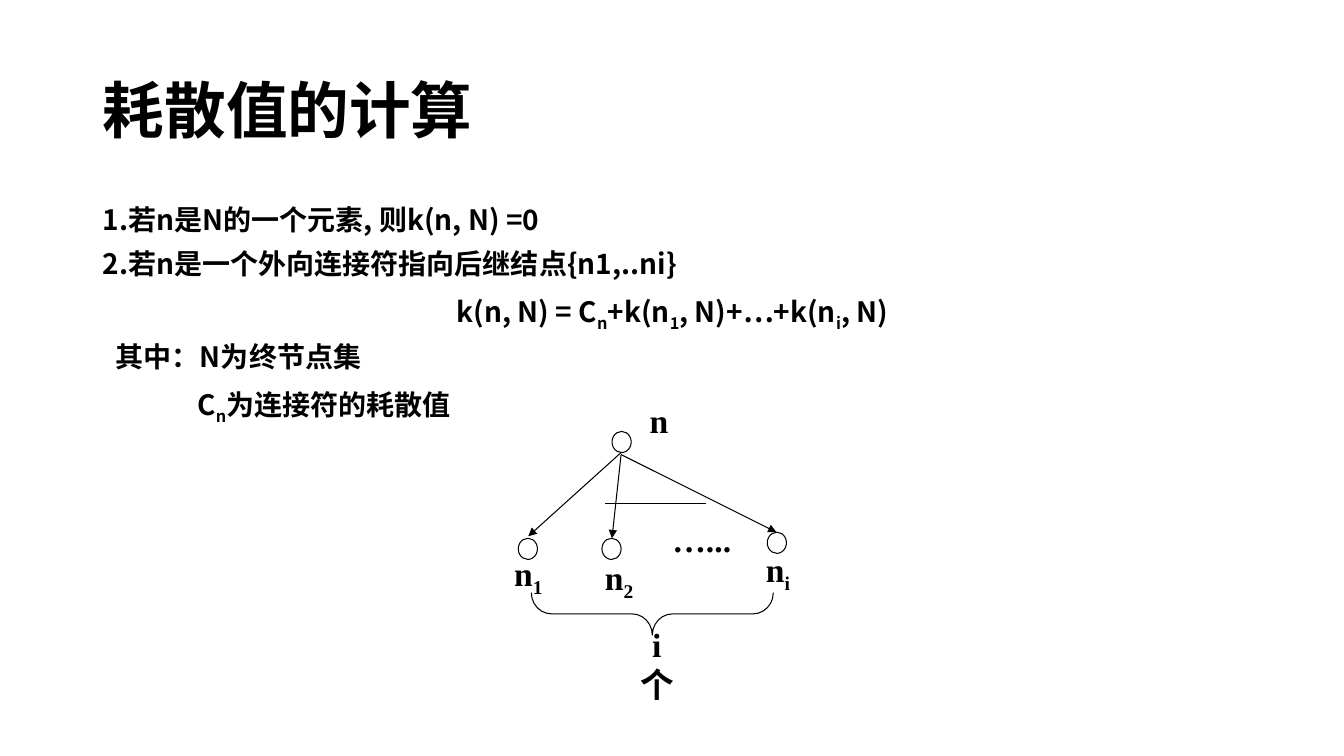
from lxml import etree
from pptx import Presentation
from pptx.dml.color import RGBColor
from pptx.enum.shapes import MSO_CONNECTOR, MSO_SHAPE
from pptx.enum.text import MSO_ANCHOR, MSO_AUTO_SIZE, PP_ALIGN
from pptx.oxml.ns import qn
from pptx.util import Inches, Pt

BLACK = RGBColor(0, 0, 0)
SANS = "Noto Sans CJK SC"
SERIF = "Times New Roman"
OVAL, BRACE = MSO_SHAPE.OVAL, MSO_SHAPE.LEFT_BRACE
STRAIGHT = MSO_CONNECTOR.STRAIGHT
MIDDLE = MSO_ANCHOR.MIDDLE
LEFT, CENTER = PP_ALIGN.LEFT, PP_ALIGN.CENTER
NO_FIT = MSO_AUTO_SIZE.NONE
LINE_WIDTH = Pt(0.75)


def add_runs(paragraph, text, size, font):
    """Add bold runs; every second part between bars is a subscript."""
    for index, part in enumerate(text.split("|")):
        run = paragraph.add_run()
        run.text = part
        run.font.size = Pt(size)
        run.font.bold = True
        run.font.name = font
        run.font.color.rgb = BLACK
        properties = run.font._element
        etree.SubElement(properties, qn("a:ea")).set("typeface", SANS)
        if index % 2:
            properties.set("baseline", "-25000")


def draw_outline(shape):
    shape.shadow.inherit = False
    shape.fill.background()
    shape.line.color.rgb = BLACK
    shape.line.width = LINE_WIDTH


prs = Presentation()
prs.slide_width = Inches(13.33)
prs.slide_height = Inches(7.5)
slide = prs.slides.add_slide(prs.slide_layouts[5])
shapes = slide.shapes

# Title
title = shapes.title
title.left, title.top = Inches(0.92), Inches(0.4)
title.width, title.height = Inches(11.5), Inches(1.45)
title.text_frame.auto_size = NO_FIT
title.text_frame.vertical_anchor = MIDDLE
heading = title.text_frame.paragraphs[0]
heading.alignment = LEFT
heading.line_spacing = 0.9
add_runs(heading, "耗散值的计算", 44, SANS)

# Rules for the cost: text, alignment, left margin, first-line indent
RULES = [
    ("1.若n是N的一个元素, 则k(n, N) =0", LEFT, 0.25, -0.25),
    ("2.若n是一个外向连接符指向后继结点{n1,..ni}", LEFT, 0.25, -0.25),
    ("k(n, N) = C|n|+k(n|1|, N)+…+k(n|i|, N)", CENTER, 0.25, -0.25),
    ("其中:N为终节点集".replace(":", "："), LEFT, 0.13, 0),
    ("C|n|为连接符的耗散值", LEFT, 0.94, 0),
]
rules = shapes.add_textbox(Inches(0.92), Inches(2), Inches(11.5), Inches(4.76)).text_frame
rules.word_wrap = True
for number, (text, alignment, margin, indent) in enumerate(RULES):
    paragraph = rules.add_paragraph() if number else rules.paragraphs[0]
    paragraph.alignment = alignment
    paragraph.line_spacing = 0.9
    paragraph.space_before = Pt(10)
    spacing = paragraph._p.get_or_add_pPr()
    spacing.set("marL", str(Inches(margin)))
    spacing.set("indent", str(Inches(indent)))
    add_runs(paragraph, text, 20, SANS)

# Nodes: the parent, then its successors
for left, top in [(6.07, 4.28), (5.14, 5.34), (5.97, 5.34), (7.61, 5.28)]:
    node = shapes.add_shape(OVAL, Inches(left), Inches(top), Inches(0.19), Inches(0.21))
    draw_outline(node)

# Arrows from the parent to the successors
for start_y, end_x, end_y in [(4.49, 5.24, 5.32), (4.51, 6.07, 5.34), (4.51, 7.7, 5.28)]:
    arrow = shapes.add_connector(
        STRAIGHT, Inches(6.16), Inches(start_y), Inches(end_x), Inches(end_y))
    arrow.line.color.rgb = BLACK
    arrow.line.width = LINE_WIDTH
    etree.SubElement(arrow.line._get_or_add_ln(), qn("a:tailEnd")).set("type", "triangle")
    etree.SubElement(arrow._element.spPr, qn("a:effectLst"))

# Arc that ties the arrows into one connector
arc = shapes.build_freeform(5.84, 4.76, scale=Inches(1))
arc.add_line_segments(
    [(5.99, 4.84), (6.14, 4.89), (6.32, 4.86), (6.45, 4.82), (6.53, 4.7)], close=False)
draw_outline(arc.convert_to_shape())

# Brace under the successors
brace = shapes.add_shape(BRACE, Inches(6.26), Inches(4.89), Inches(0.42), Inches(2.4))
brace.rotation = 270
brace.adjustments[0] = 0.479
brace.adjustments[1] = 0.5
draw_outline(brace)

# Labels: lines of text, left, top, width
LABELS = [
    (["…..."], 6.57, 5.1, 0.78),
    (["i", "个"], 6.2, 6.34, 0.63),
    (["n"], 6.34, 3.92, 0.39),
    (["n|1"], 4.99, 5.46, 0.5),
    (["n|2"], 5.89, 5.5, 0.5),
    (["n|i"], 7.49, 5.42, 0.45),
]
for lines, left, top, width in LABELS:
    label = shapes.add_textbox(
        Inches(left), Inches(top), Inches(width), Inches(0.5)).text_frame
    label.word_wrap = False
    label.vertical_anchor = MIDDLE
    paragraph = label.paragraphs[0]
    paragraph.alignment = CENTER
    for number, line in enumerate(lines):
        if number:
            paragraph.add_line_break()
        add_runs(paragraph, line, 24, SERIF)

prs.save("out.pptx")
